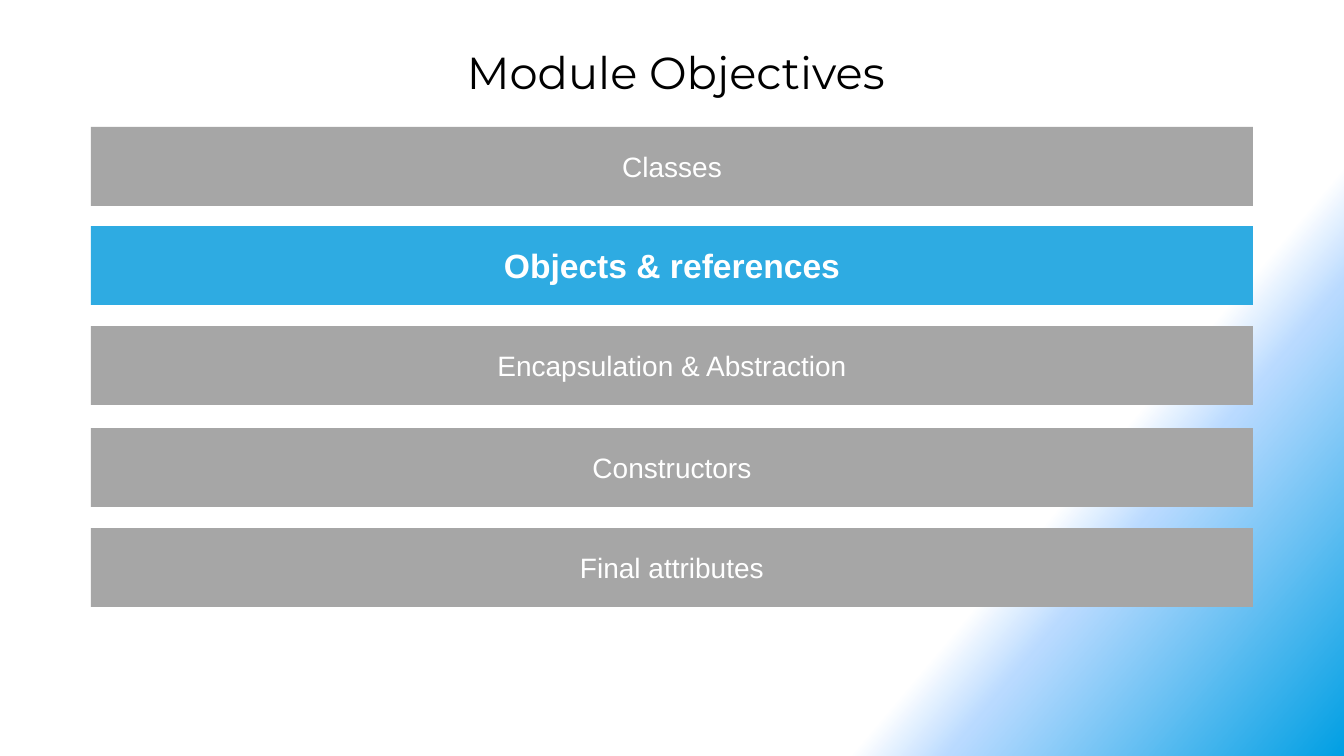
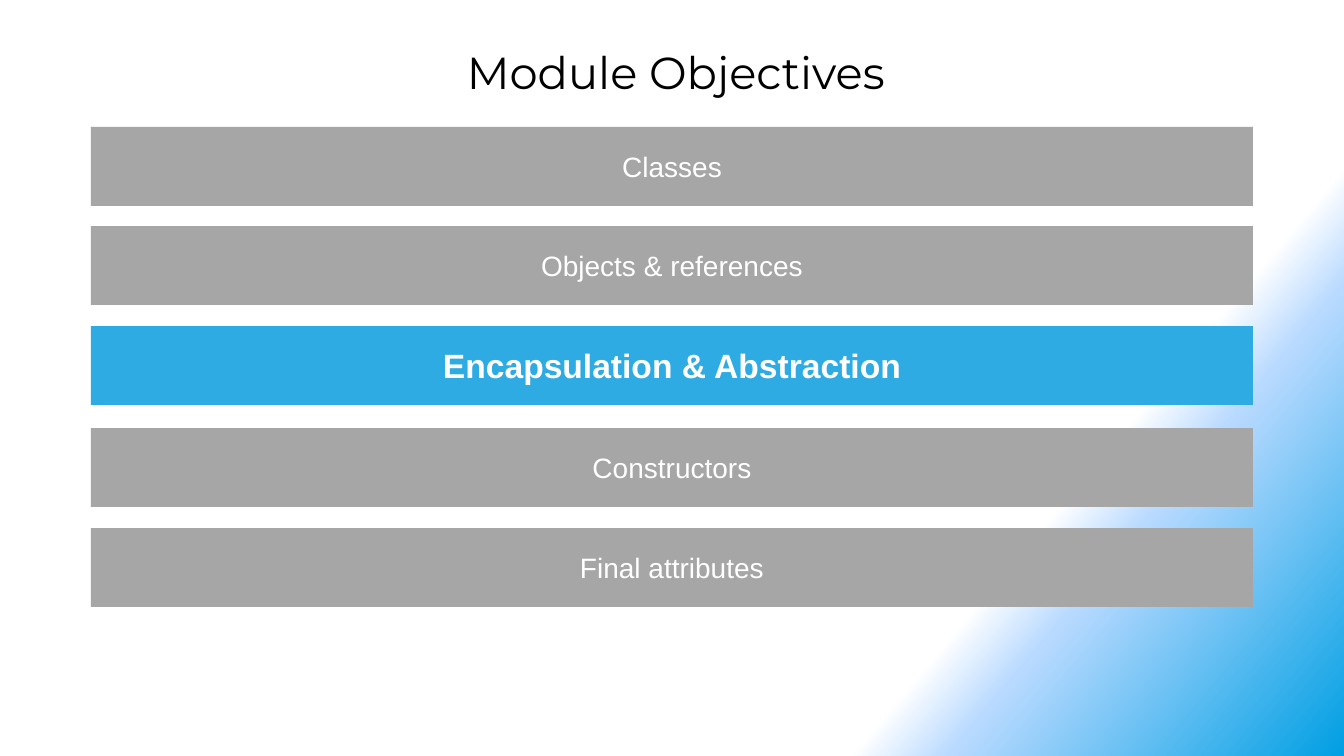
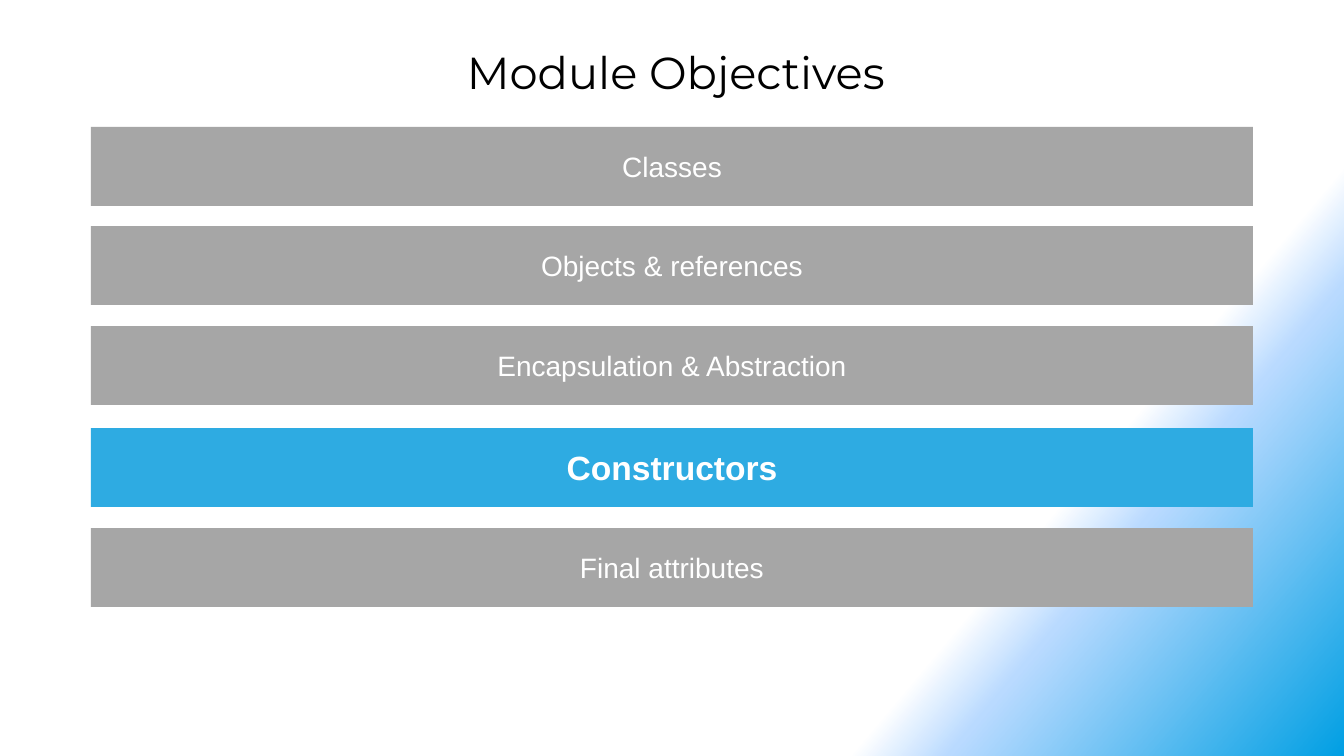
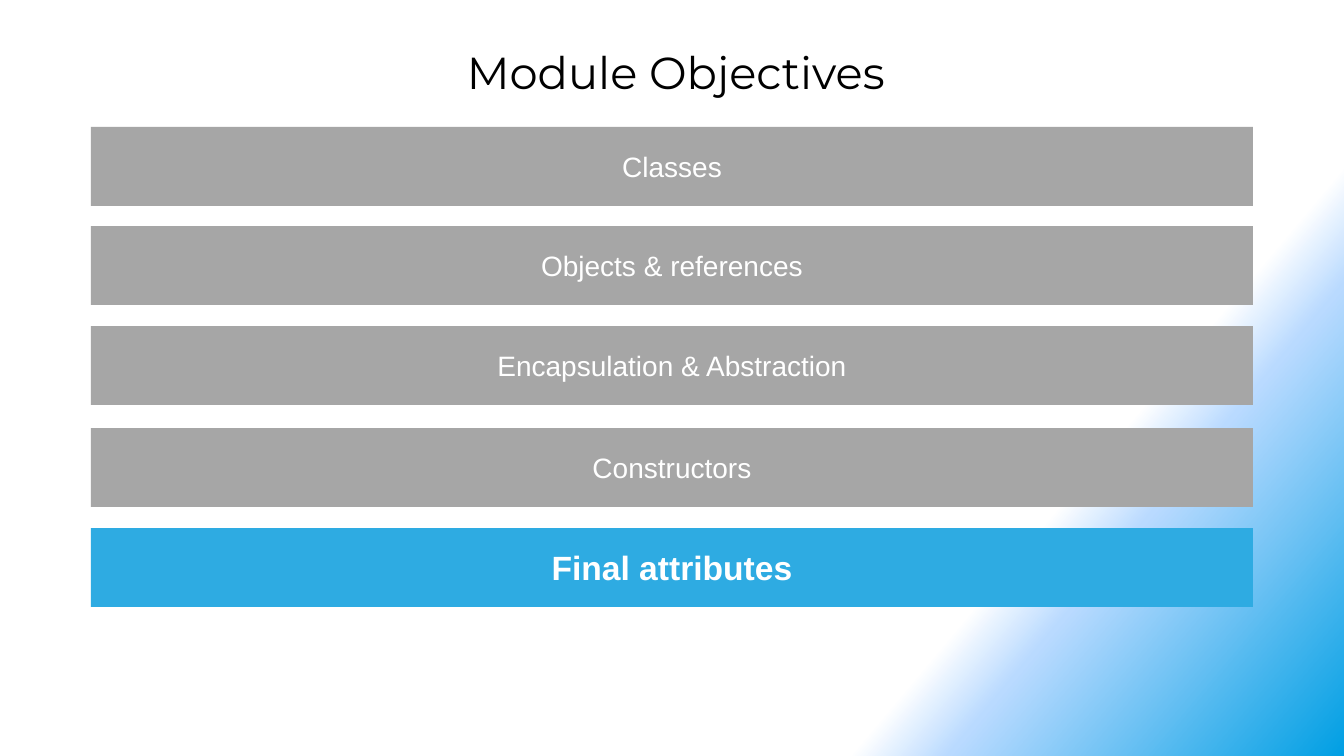
"""Build the four "Module Objectives" slides, each with one topic highlighted."""
from lxml import etree
from pptx import Presentation
from pptx import util as u
from pptx.dml import color
from pptx.enum import shapes, text
from pptx.oxml import ns

PIXEL = 914400 / 100.8
PAGE_WIDTH, PAGE_HEIGHT = 1344, 756

BLACK, WHITE = "000000", "FFFFFF"
GREY, BLUE = "A6A6A6", "2EABE2"
# Gradient stops: position and colour, with opacity, all in percent
BACKGROUND_STOPS = [(75, WHITE, 100), (80, "B9DAFF", 50), (100, "009FE3", 100)]
BACKGROUND_ANGLE = 40

TITLE = "Module Objectives"
TOPICS = ["Classes", "Objects & references", "Encapsulation & Abstraction",
          "Constructors", "Final attributes"]
TITLE_BOX = (68, 39, 1216, 65)
TOPICS_BOX = (91, 127, 1162, 480)
BAR_HEIGHT = 79
BAR_OFFSETS = [0, 99, 199, 301, 401]


def px(length):
    """Turn pixels into EMU."""
    return u.Emu(round(length * PIXEL))


def rgb(hex_string):
    """Turn a hex string into a colour."""
    return color.RGBColor.from_string(hex_string)


def add_centred_text(shape, words, size, font, hex_string, bold=False):
    """Write one centred line in the middle of a shape."""
    frame = shape.text_frame
    frame.word_wrap = True
    frame.vertical_anchor = text.MSO_ANCHOR.MIDDLE
    para = frame.paragraphs[0]
    para.alignment = text.PP_ALIGN.CENTER
    span = para.add_run()
    span.text = words
    span.font.name = font
    span.font.size = u.Pt(size)
    span.font.bold = bold
    span.font.color.rgb = rgb(hex_string)


def set_background(master):
    """Give the slide master the diagonal gradient that all slides share."""
    fill = master.background.fill
    fill.gradient()
    fill.gradient_angle = 360 - BACKGROUND_ANGLE
    stops = master.element.find(".//" + ns.qn("a:gsLst"))
    for stop in list(stops):
        stops.remove(stop)
    for position, hex_string, opacity in BACKGROUND_STOPS:
        stop = etree.SubElement(stops, ns.qn("a:gs"), pos=str(position * 1000))
        tint = etree.SubElement(stop, ns.qn("a:srgbClr"), val=hex_string)
        if opacity < 100:
            etree.SubElement(tint, ns.qn("a:alpha"), val=str(opacity * 1000))


def add_title(page, box):
    """Place the slide title in its box."""
    title = page.shapes.add_textbox(*map(px, box))
    add_centred_text(title, TITLE, 32, "Montserrat", BLACK)
    title.text_frame.auto_size = text.MSO_AUTO_SIZE.SHAPE_TO_FIT_TEXT


def add_topic_bars(page, box, current):
    """Stack one bar per topic in the box and highlight the current one."""
    left, top, width, _ = box
    for topic, offset in zip(TOPICS, BAR_OFFSETS):
        active = topic == current
        bar = page.shapes.add_shape(
            shapes.MSO_SHAPE.RECTANGLE,
            px(left), px(top + offset), px(width), px(BAR_HEIGHT))
        bar.shadow.inherit = False
        bar.fill.solid()
        bar.fill.fore_color.rgb = rgb(BLUE if active else GREY)
        bar.line.fill.background()
        add_centred_text(bar, topic, 24 if active else 20, "Arial", WHITE, active)


def add_objectives_slide(deck, current):
    """Add a slide that lists the topics and highlights the current one."""
    page = deck.slides.add_slide(deck.slide_layouts[6])
    add_title(page, TITLE_BOX)
    add_topic_bars(page, TOPICS_BOX, current)


def main():
    """Build and save the deck."""
    deck = Presentation()
    deck.slide_width, deck.slide_height = px(PAGE_WIDTH), px(PAGE_HEIGHT)
    set_background(deck.slide_master)
    for topic in TOPICS[1:]:
        add_objectives_slide(deck, topic)
    deck.save("out.pptx")


main()
